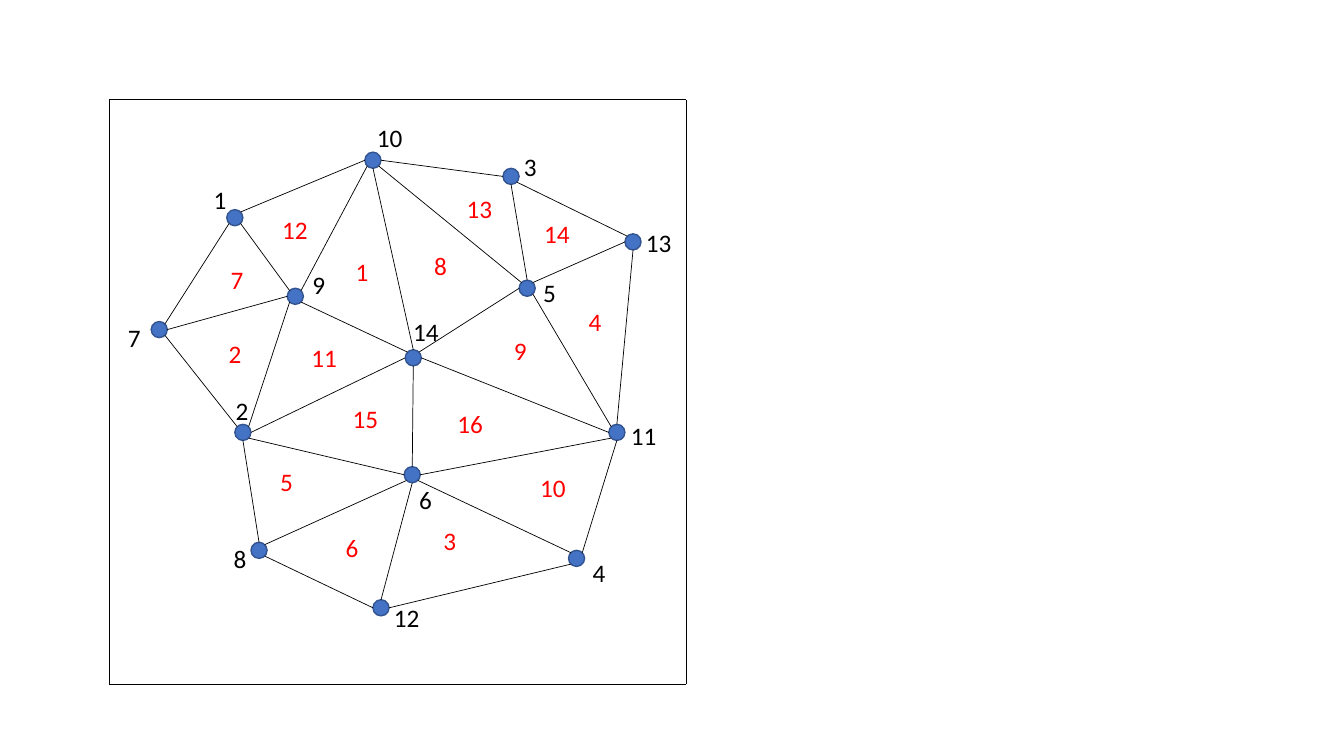
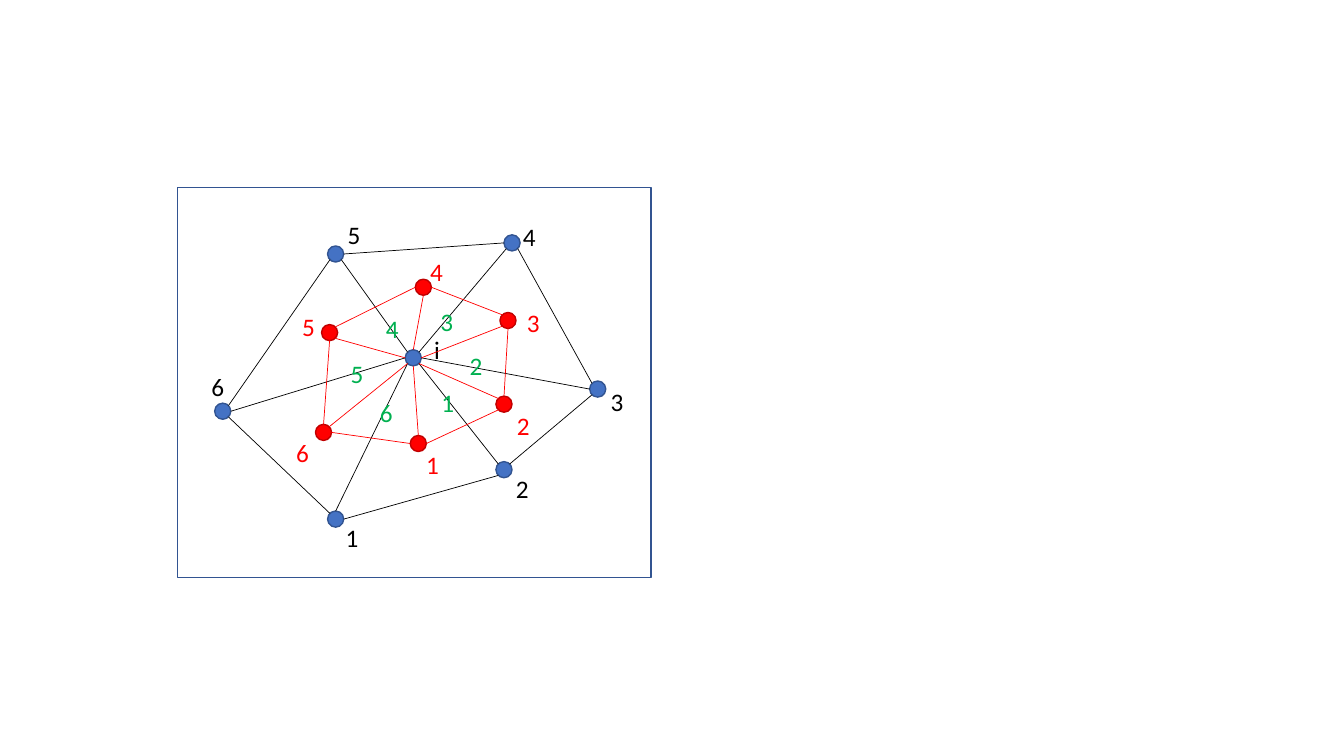
"""Build two slides of triangulated meshes with numbered nodes and cells."""
from dataclasses import dataclass
from math import cos, radians, sin
from typing import NamedTuple

from lxml import etree
from pptx import Presentation
from pptx.dml.color import RGBColor
from pptx.enum.shapes import MSO_CONNECTOR, MSO_SHAPE
from pptx.enum.text import MSO_AUTO_SIZE
from pptx.oxml.ns import qn
from pptx.slide import Slide
from pptx.util import Inches, Pt

STRAIGHT = MSO_CONNECTOR.STRAIGHT
ELLIPSE = MSO_SHAPE.OVAL
RECTANGLE = MSO_SHAPE.RECTANGLE
FIT_SHAPE = MSO_AUTO_SIZE.SHAPE_TO_FIT_TEXT

SLIDE_WIDTH = Inches(13.333)
SLIDE_HEIGHT = Inches(7.5)
COLUMN = SLIDE_WIDTH / 133.33
ROW = SLIDE_HEIGHT / 75

BLACK = "000000"
BLUE = "4472C4"
DARK_BLUE = "325491"
RED = "FF0000"
DARK_RED = "C00000"
GREEN = "00B050"

FONT = "Calibri"
LABEL_SIZE = 18
EDGE_WIDTH = 0.5
OUTLINE_WIDTH = 1
NODE_RADIUS = 0.8
LABEL_HEIGHT = 4
NARROW_LABEL, DIGIT_LABEL, EXTRA_DIGIT = 2.6, 3.3, 1.3
SITES = ("E", "SE", "S", "SW", "W", "NW", "N", "NE")


class Point(NamedTuple):
    """A place on the grid, in columns and rows."""
    column: float
    row: float


class Label(NamedTuple):
    """A text with the top left corner of its box."""
    text: str
    column: float
    row: float


class Node(NamedTuple):
    """A mesh node by its centre, with the corner of its label."""
    name: str
    column: float
    row: float
    label_column: float
    label_row: float


class Edge(NamedTuple):
    """A line between compass sites on two nodes."""
    start: str
    start_site: str
    end: str
    end_site: str


@dataclass(frozen=True)
class Style:
    """The colours of a mesh."""
    fill: str
    outline: str
    edge: str
    label: str


@dataclass(frozen=True)
class Mesh:
    """Nodes and edges in one style, with nodes borrowed from another mesh."""
    style: Style
    nodes: tuple[Node, ...]
    edges: tuple[Edge, ...]
    borrowed: tuple[Node, ...] = ()


PRIMARY = Style(BLUE, DARK_BLUE, BLACK, BLACK)
DUAL = Style(RED, DARK_RED, RED, RED)

TRIANGULATION = Mesh(
    PRIMARY,
    (
        Node("1", 23.3, 21.6, 20.2, 17.8),
        Node("2", 24.1, 42.9, 22.4, 38.7),
        Node("3", 50.7, 17.5, 51, 14.5),
        Node("4", 57.2, 55.4, 57.8, 54.8),
        Node("5", 52.3, 28.6, 52.9, 27),
        Node("6", 40.9, 47.1, 40.6, 47.6),
        Node("7", 15.8, 32.7, 11.7, 31.5),
        Node("8", 25.7, 54.6, 22.2, 53.4),
        Node("9", 29.3, 29.4, 30, 26.2),
        Node("10", 37, 15.9, 36.4, 11.6),
        Node("11", 61.2, 42.9, 61.6, 41.2),
        Node("12", 37.8, 60.3, 38.1, 59.3),
        Node("13", 62.8, 24, 63.1, 22.1),
        Node("14", 41, 35.5, 40, 30.9),
    ),
    (
        Edge("1", "SW", "7", "NE"),
        Edge("1", "SE", "9", "NW"),
        Edge("7", "E", "9", "W"),
        Edge("7", "SE", "2", "NW"),
        Edge("2", "NE", "9", "SW"),
        Edge("2", "SE", "6", "W"),
        Edge("14", "W", "2", "E"),
        Edge("8", "N", "2", "S"),
        Edge("8", "NE", "6", "SW"),
        Edge("8", "SE", "12", "W"),
        Edge("12", "N", "6", "S"),
        Edge("12", "E", "4", "SW"),
        Edge("6", "SE", "4", "NW"),
        Edge("4", "NE", "11", "S"),
        Edge("6", "E", "11", "SW"),
        Edge("14", "E", "11", "W"),
        Edge("11", "NW", "5", "SE"),
        Edge("14", "N", "10", "S"),
        Edge("11", "N", "13", "S"),
        Edge("5", "NE", "13", "W"),
        Edge("3", "SE", "13", "NW"),
        Edge("5", "N", "3", "S"),
        Edge("3", "W", "10", "E"),
        Edge("5", "NW", "10", "SE"),
        Edge("9", "NE", "10", "SW"),
        Edge("1", "NE", "10", "W"),
        Edge("6", "N", "14", "S"),
        Edge("14", "NW", "9", "SE"),
        Edge("14", "NE", "5", "W"),
    ),
)
TRIANGLE_LABELS = (
    Label("1", 34.3, 24.9), Label("2", 21.7, 33.1),
    Label("3", 43, 51.6), Label("4", 57.4, 29.9),
    Label("5", 26.8, 45.8), Label("6", 33.3, 52.3),
    Label("7", 21.9, 25.7), Label("8", 42.1, 24.3),
    Label("9", 50, 32.8), Label("10", 52.6, 46.4),
    Label("11", 29.9, 33.5), Label("12", 27, 20.8),
    Label("13", 45.3, 18.7), Label("14", 53, 21.2),
    Label("15", 34, 39.5), Label("16", 44.4, 40),
)
FRAME_CORNERS = (Point(10.8, 9.9), Point(68.1, 9.9), Point(68.1, 67.9), Point(10.8, 67.9))

CENTRE = Node("i", 41, 35.5, 42.1, 32.7)
NEIGHBOURS = Mesh(
    PRIMARY,
    (
        CENTRE,
        Node("1", 33.3, 51.5, 33.3, 51.3),
        Node("2", 50, 46.6, 50.2, 46.5),
        Node("3", 59.3, 38.6, 59.6, 37.8),
        Node("4", 50.8, 24.1, 50.9, 21.5),
        Node("5", 33.3, 25.2, 33.5, 21.3),
        Node("6", 22.1, 40.8, 20, 36.3),
    ),
    (
        Edge("i", "SE", "2", "NW"),
        Edge("i", "E", "3", "W"),
        Edge("3", "SW", "2", "NE"),
        Edge("i", "SW", "1", "N"),
        Edge("1", "E", "2", "SW"),
        Edge("1", "NW", "6", "SE"),
        Edge("6", "E", "i", "W"),
        Edge("6", "NE", "5", "SW"),
        Edge("5", "SE", "i", "NW"),
        Edge("5", "E", "4", "W"),
        Edge("4", "SW", "i", "NE"),
        Edge("4", "SE", "3", "NW"),
    ),
)
DUAL_CELL = Mesh(
    DUAL,
    (
        Node("1", 41.5, 44, 41.3, 44.1),
        Node("2", 50, 40.1, 50.3, 40.2),
        Node("3", 50.4, 31.8, 51.3, 30),
        Node("4", 42, 28.5, 41.7, 24.9),
        Node("5", 32.7, 33, 29, 30.4),
        Node("6", 32.1, 42.9, 28.4, 42.9),
    ),
    (
        Edge("6", "E", "1", "W"),
        Edge("2", "SW", "1", "E"),
        Edge("3", "S", "2", "N"),
        Edge("4", "E", "3", "NW"),
        Edge("4", "W", "5", "NE"),
        Edge("5", "S", "6", "N"),
        Edge("6", "NE", "i", "SW"),
        Edge("i", "S", "1", "N"),
        Edge("i", "SE", "2", "NW"),
        Edge("i", "E", "3", "SW"),
        Edge("i", "N", "4", "S"),
        Edge("i", "W", "5", "SE"),
    ),
    (CENTRE,),
)
SECTOR_LABELS = (
    Label("1", 42.8, 37.9), Label("2", 45.6, 34.3), Label("3", 42.7, 29.9),
    Label("4", 37.3, 30.6), Label("5", 33.8, 35.1), Label("6", 36.7, 38.9),
)


def color(value: str) -> RGBColor:
    """Turn a hex string into a colour."""
    return RGBColor.from_string(value)


def box(column: float, row: float, width: float, height: float) -> tuple[int, ...]:
    """Turn a grid box into slide lengths."""
    return round(column * COLUMN), round(row * ROW), round(width * COLUMN), round(height * ROW)


def draw_line(slide: Slide, start: Point, end: Point, stroke: str) -> None:
    """Draw a thin line without a shadow."""
    line = slide.shapes.add_connector(STRAIGHT, *box(*start, *end))
    line.line.color.rgb = color(stroke)
    line.line.width = Pt(EDGE_WIDTH)
    etree.SubElement(line.element.spPr, qn("a:effectLst"))


def draw_shape(slide: Slide, kind: MSO_SHAPE, place: tuple[int, ...],
               outline: str, fill: str | None = None) -> None:
    """Draw an outlined shape, hollow when no fill is given."""
    shape = slide.shapes.add_shape(kind, *place)
    shape.shadow.inherit = False
    shape.line.color.rgb = color(outline)
    shape.line.width = Pt(OUTLINE_WIDTH)
    if fill is None:
        shape.fill.background()
    else:
        shape.fill.solid()
        shape.fill.fore_color.rgb = color(fill)


def draw_label(slide: Slide, label: Label, ink: str) -> None:
    """Draw a short label in a box sized for its characters."""
    width = DIGIT_LABEL + EXTRA_DIGIT * (len(label.text) - 1) if label.text.isdigit() else NARROW_LABEL
    text_box = slide.shapes.add_textbox(*box(label.column, label.row, width, LABEL_HEIGHT))
    frame = text_box.text_frame
    frame.word_wrap = False
    frame.auto_size = FIT_SHAPE
    run = frame.paragraphs[0].add_run()
    run.text = label.text
    run.font.name = FONT
    run.font.size = Pt(LABEL_SIZE)
    run.font.color.rgb = color(ink)


def site_point(node: Node, site: str) -> Point:
    """Find a compass site on the rim of a node."""
    angle = radians(45 * SITES.index(site))
    return Point(node.column + NODE_RADIUS * cos(angle), node.row + NODE_RADIUS * sin(angle))


def draw_mesh(slide: Slide, mesh: Mesh) -> None:
    """Draw the nodes, edges and node labels of a mesh."""
    style = mesh.style
    nodes = {node.name: node for node in mesh.nodes + mesh.borrowed}
    for node in mesh.nodes:
        place = box(node.column - NODE_RADIUS, node.row - NODE_RADIUS, 2 * NODE_RADIUS, 2 * NODE_RADIUS)
        draw_shape(slide, ELLIPSE, place, style.outline, style.fill)
    for edge in mesh.edges:
        start = site_point(nodes[edge.start], edge.start_site)
        end = site_point(nodes[edge.end], edge.end_site)
        draw_line(slide, start, end, style.edge)
    for node in mesh.nodes:
        draw_label(slide, Label(node.name, node.label_column, node.label_row), style.label)


def build() -> None:
    """Build and save the presentation."""
    presentation = Presentation()
    presentation.slide_width, presentation.slide_height = SLIDE_WIDTH, SLIDE_HEIGHT
    blank = presentation.slide_layouts[6]

    mesh_slide = presentation.slides.add_slide(blank)
    draw_mesh(mesh_slide, TRIANGULATION)
    for label in TRIANGLE_LABELS:
        draw_label(mesh_slide, label, RED)
    for start, end in zip(FRAME_CORNERS, FRAME_CORNERS[1:] + FRAME_CORNERS[:1]):
        draw_line(mesh_slide, start, end, BLACK)

    cell_slide = presentation.slides.add_slide(blank)
    draw_mesh(cell_slide, NEIGHBOURS)
    draw_shape(cell_slide, RECTANGLE, box(17.6, 18.6, 47, 38.7), DARK_BLUE)
    draw_mesh(cell_slide, DUAL_CELL)
    for label in SECTOR_LABELS:
        draw_label(cell_slide, label, GREEN)

    presentation.save("out.pptx")


build()
